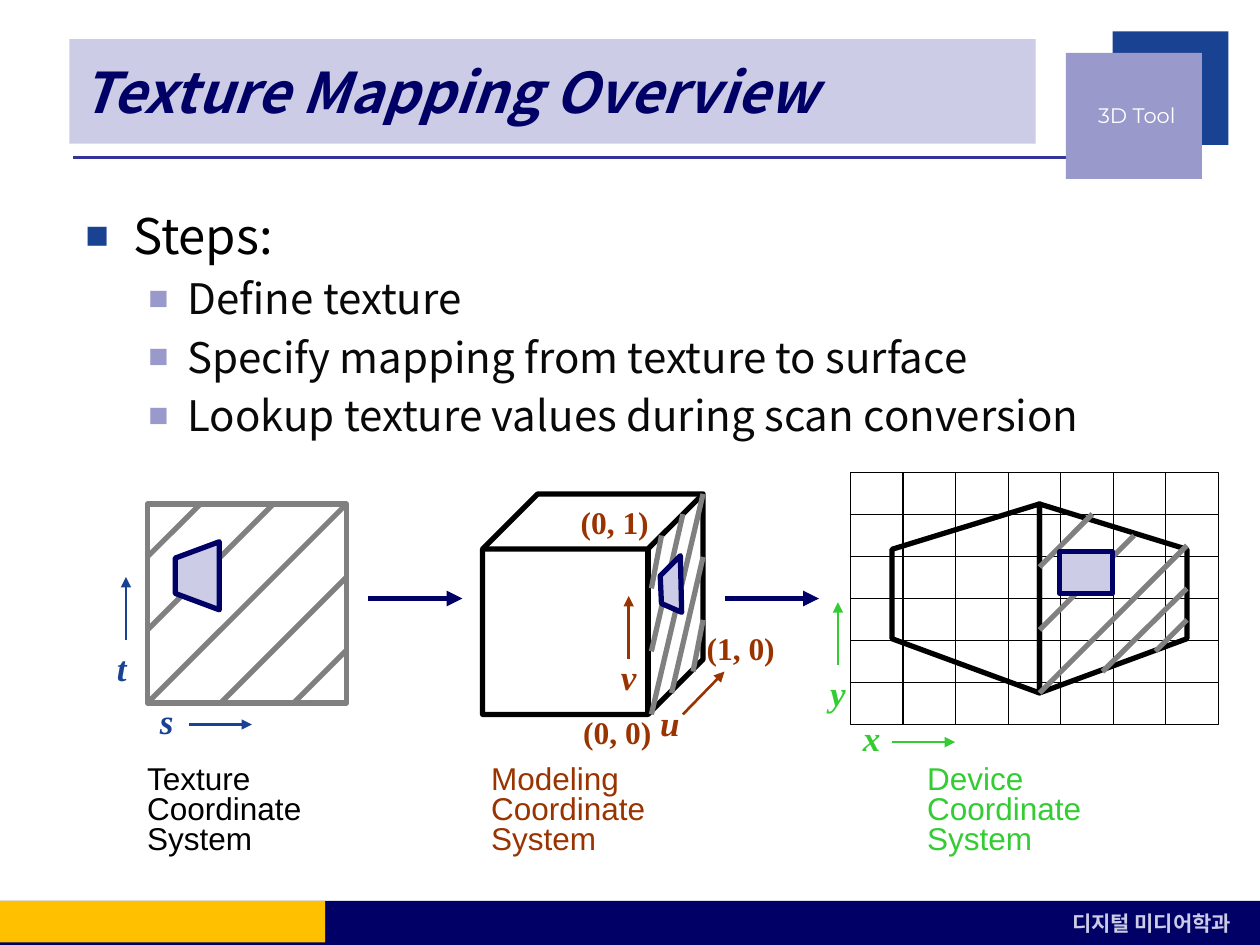
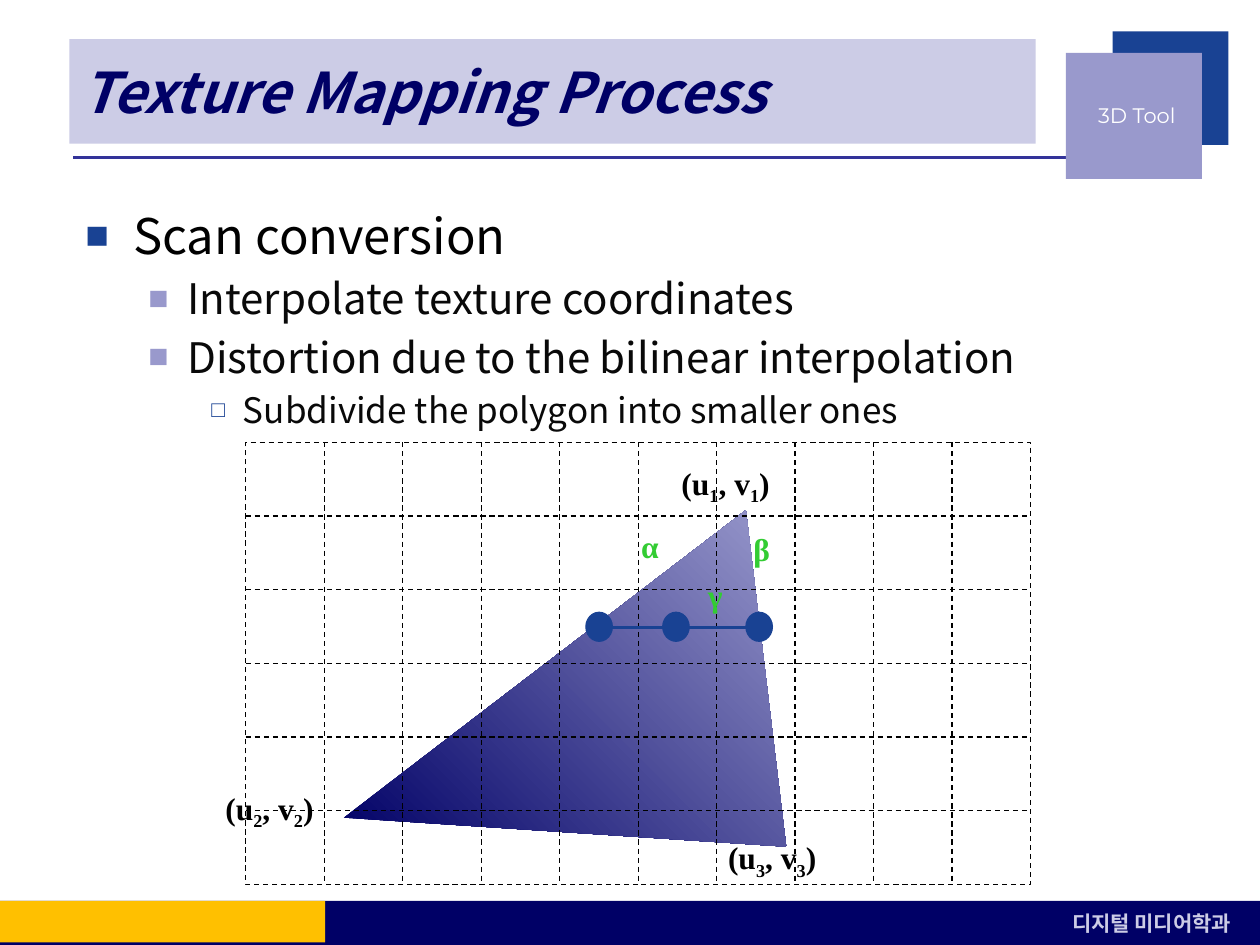
from lxml.etree import SubElement
from pptx import Presentation
from pptx.dml.color import RGBColor
from pptx.enum.dml import MSO_LINE
from pptx.enum.shapes import MSO_CONNECTOR, MSO_SHAPE as SHAPE
from pptx.enum.text import MSO_ANCHOR as ANCHOR, PP_ALIGN as ALIGN
from pptx.oxml.ns import qn
from pptx.util import Inches, Pt

COLORS = {
    "navy": "000066", "blue": "194293", "rule": "333399", "lilac": "9999CC",
    "pale": "CCCCE6", "gold": "FFC000", "white": "FFFFFF", "black": "000000",
    "ink": "090909", "gray": "808080", "brown": "993300", "green": "33CC33",
}
SANS, SERIF, LABEL, BADGE = "Noto Sans CJK KR", "Times New Roman", "Arial", "Montserrat"
BULLETS = [
    {"indent": (0.38, -0.38), "char": "■", "color": "blue", "percent": 80, "size": 28, "ink": "black"},
    {"indent": (0.81, -0.31), "char": "■", "color": "lilac", "percent": 80, "size": 24, "ink": "ink"},
    {"indent": (1.25, -0.25), "char": "□", "color": "blue", "percent": 65, "size": 20, "ink": "ink"},
]


def rgb(name):
    """Look up a palette colour."""
    return RGBColor.from_string(COLORS[name])


def paint(part, fill=None, line=None, width=3.0):
    """Set fill and outline of a shape, leaving out what is not given."""
    part.shadow.inherit = False
    if fill:
        part.fill.solid()
        part.fill.fore_color.rgb = rgb(fill)
    else:
        part.fill.background()
    if line:
        part.line.color.rgb = rgb(line)
        part.line.width = Pt(width)
    else:
        part.line.fill.background()
    return part


def add_block(slide, kind, box, fill=None, line=None, width=3.0):
    """Add a painted preset shape in a box given in inches."""
    block = slide.shapes.add_shape(kind, *map(Inches, box))
    return paint(block, fill, line, width)


def add_outline(slide, left, top, points, fill=None, line=None):
    """Add a closed polygon whose points are relative to a corner."""
    corners = [(Inches(left + x), Inches(top + y)) for x, y in points]
    builder = slide.shapes.build_freeform(*corners[0])
    builder.add_line_segments(corners[1:], close=True)
    return paint(builder.convert_to_shape(), fill, line)


def add_line(slide, start, end, color, width, dash=False, arrow=False):
    """Add a straight line, dashed or with an arrowhead if asked."""
    ends = map(Inches, (*start, *end))
    line = slide.shapes.add_connector(MSO_CONNECTOR.STRAIGHT, *ends)
    line.line.color.rgb = rgb(color)
    line.line.width = Pt(width)
    if dash:
        line.line.dash_style = MSO_LINE.DASH
    if arrow:
        SubElement(line.line._get_or_add_ln(), qn("a:tailEnd"), type="triangle")
    SubElement(line._element.spPr, qn("a:effectLst"))


def add_stripes(slide, left, top, stripes):
    """Add gray texture stripes relative to a corner."""
    for x1, y1, x2, y2 in stripes:
        add_line(slide, (left + x1, top + y1), (left + x2, top + y2), "gray", 3)


def style(font, face, size, color, bold=False, italic=False):
    """Format a font."""
    font.name, font.size, font.bold, font.italic = face, Pt(size), bold, italic
    font.color.rgb = rgb(color)


def add_text(slide, box, text, face, size, color, bold=False, italic=False, spacing=None):
    """Add a text box with evenly formatted paragraphs."""
    frame = slide.shapes.add_textbox(*map(Inches, box)).text_frame
    frame.word_wrap = True
    frame.margin_right = 0
    frame.text = text
    for paragraph in frame.paragraphs:
        paragraph.line_spacing = spacing
        style(paragraph.font, face, size, color, bold, italic)
    return frame


def add_axis(slide, letter, corner, start, end, color):
    """Add a coordinate axis arrow with its letter."""
    add_text(slide, (*corner, 0.36, 0.43), letter, SERIF, 20, color, True, True)
    add_line(slide, start, end, color, 1.5, arrow=True)


def add_grid(slide, box, columns, rows, frame_width, dash=False):
    """Add a framed grid of equal cells."""
    left, top, width, height = box
    frame = add_block(slide, SHAPE.RECTANGLE, box, line="black", width=frame_width)
    if dash:
        frame.line.dash_style = MSO_LINE.DASH
    for column in range(1, columns):
        x = left + width * column / columns
        add_line(slide, (x, top), (x, top + height), "black", 0.75, dash)
    for row in range(1, rows):
        y = top + height * row / rows
        add_line(slide, (left, y), (left + width, y), "black", 0.75, dash)


def add_system_name(slide, left, top, name, color):
    """Add the caption of a coordinate system."""
    caption = f"{name}\nCoordinate\nSystem"
    add_text(slide, (left, top, 1.79, 1.06), caption, LABEL, 18, color, spacing=0.8)


def add_title(slide, box, text):
    """Place and format the title placeholder."""
    title = slide.shapes.title
    title.left, title.top, title.width, title.height = map(Inches, box)
    title.fill.solid()
    title.fill.fore_color.rgb = rgb("pale")
    frame = title.text_frame
    frame.text = text
    frame.vertical_anchor = ANCHOR.MIDDLE
    frame.paragraphs[0].alignment = ALIGN.LEFT
    style(frame.paragraphs[0].runs[0].font, SANS, 32, "navy", True, True)


def add_badge(slide, left, top):
    """Add the two overlapping squares with the course name."""
    add_block(slide, SHAPE.RECTANGLE, (left + 0.37, top, 0.92, 0.9), "blue")
    add_block(slide, SHAPE.RECTANGLE, (left, top + 0.17, 1.08, 1), "lilac")
    name = add_text(slide, (left - 0.15, top + 0.33, 1.02, 0.67), "3D Tool", BADGE, 12, "white")
    name.vertical_anchor = ANCHOR.MIDDLE
    name.paragraphs[0].alignment = ALIGN.RIGHT


def add_footer(slide, top):
    """Add the footer band with the department name."""
    add_block(slide, SHAPE.RECTANGLE, (0, top, 10, 0.35), "navy")
    add_block(slide, SHAPE.RECTANGLE, (0, top, 2.58, 0.33), "gold")
    department = add_text(slide, (8.41, top + 0.03, 1.58, 0.3), "디지털 미디어학과",
                          SANS, 12, "pale", True, spacing=Pt(14.4))
    run = department.paragraphs[0].runs[0]
    SubElement(run._r.get_or_add_rPr(), qn("a:ea"), typeface=SANS)


def add_outline_text(slide, box, items):
    """Add the bulleted text from (level, text) pairs."""
    frame = slide.shapes.add_textbox(*map(Inches, box)).text_frame
    frame.word_wrap = True
    frame.text = "\n".join(text for _, text in items)
    for index, (paragraph, (level, _)) in enumerate(zip(frame.paragraphs, items)):
        look = BULLETS[level]
        paragraph.level = level
        props = paragraph._p.get_or_add_pPr()
        for key, inches in zip(("marL", "indent"), look["indent"]):
            props.set(key, str(Inches(inches)))
        tint = SubElement(props, qn("a:buClr"))
        SubElement(tint, qn("a:srgbClr"), val=COLORS[look["color"]])
        SubElement(props, qn("a:buSzPct"), val=str(look["percent"] * 1000))
        SubElement(props, qn("a:buFont"), typeface=LABEL)
        SubElement(props, qn("a:buChar"), char=look["char"])
        paragraph.line_spacing = Pt(look["size"] * 1.2)
        paragraph.space_before = Pt(look["size"] * 0.2 if index else 0)
        style(paragraph.font, SANS, look["size"], look["ink"])


def add_page(deck, title, items):
    """Add a slide with the shared frame, title and bullets."""
    slide = deck.slides.add_slide(deck.slide_layouts[5])
    add_line(slide, (0.58, 1.25), (8.5, 1.25), "rule", 2.25)
    add_badge(slide, 8.46, 0.25)
    add_footer(slide, 7.15)
    add_title(slide, (0.55, 0.31, 7.67, 0.83), title)
    add_outline_text(slide, (0.58, 1.58, 8.92, 5.17), items)
    return slide


def draw_texture(slide, left, top):
    """Draw the flat texture with its s and t axes."""
    side, step = 1.58, 0.58
    add_block(slide, SHAPE.RECTANGLE, (left, top, side, side), line="gray")
    reaches = [side + step * k for k in range(-2, 3)]
    cuts = [(reach, max(0, reach - side)) for reach in reaches]
    add_stripes(slide, left, top, [(r - cut, cut, cut, r - cut) for r, cut in cuts])
    add_axis(slide, "t", (left - 0.34, top + 1.08), (left - 0.17, top + 1.08),
             (left - 0.17, top + 0.58), "blue")
    add_axis(slide, "s", (left, top + 1.5), (left + 0.33, top + 1.75),
             (left + 0.83, top + 1.75), "blue")
    patch = [(0.57, 0.3), (0.22, 0.43), (0.22, 0.71), (0.57, 0.84)]
    add_outline(slide, left, top, patch, "pale", "navy")
    add_system_name(slide, left - 0.1, top + 2.03, "Texture", "black")


def draw_model(slide, left, top):
    """Draw the textured cube with its u and v axes."""
    add_block(slide, SHAPE.CUBE, (left, top, 1.75, 1.75), line="black")
    add_stripes(slide, left, top, [
        (1.75, 0, 1.34, 1.75), (1.75, 0.5, 1.5, 1.58), (1.75, 1, 1.67, 1.41),
        (1.42, 0.33, 1.34, 0.75), (1.59, 0.16, 1.34, 1.25)])
    add_axis(slide, "v", (left + 1, top + 1.23), (left + 1.16, top + 1.31),
             (left + 1.16, top + 0.81), "brown")
    add_axis(slide, "u", (left + 1.31, top + 1.6), (left + 1.59, top + 1.75),
             (left + 1.92, top + 1.41), "brown")
    for corner, x, y in (("(0, 1)", 0.68, 0.02), ("(0, 0)", 0.7, 1.69), ("(1, 0)", 1.68, 1.02)):
        add_text(slide, (left + x, top + y, 0.74, 0.4), corner, SERIF, 18, "brown", True)
    patch = [(1.57, 0.49), (1.41, 0.65), (1.42, 0.87), (1.58, 0.94)]
    add_outline(slide, left, top, patch, "pale", "navy")
    add_system_name(slide, left - 0.03, top + 2.11, "Modeling", "brown")


def draw_device(slide, left, top):
    """Draw the projected cube on the pixel grid with x and y axes."""
    add_grid(slide, (left, top, 2.92, 2), 7, 6, 1)
    edge = left + 1.5
    for side in (1, -1):
        face = [(0, 1.75), (0, 0.25), (side * 1.17, 0.61), (side * 1.17, 1.32)]
        add_outline(slide, edge, top, face, line="black")
    add_stripes(slide, edge, top, [
        (1.17, 0.58, 0, 1.75), (0.75, 0.5, 0, 1.25), (0.42, 0.33, 0, 0.75),
        (1.17, 1.17, 0.92, 1.42), (1.17, 0.92, 0.5, 1.58)])
    add_axis(slide, "y", (left - 0.26, top + 1.53), (left - 0.1, top + 1.53),
             (left - 0.1, top + 1.03), "green")
    add_axis(slide, "x", (left, top + 1.89), (left + 0.33, top + 2.14),
             (left + 0.83, top + 2.14), "green")
    add_block(slide, SHAPE.RECTANGLE, (left + 1.66, top + 0.63, 0.42, 0.33), "pale", "navy")
    add_system_name(slide, left + 0.51, top + 2.28, "Device", "green")


def add_texel_label(slide, left, top, number):
    """Add a (u, v) pair with subscript numbers."""
    frame = add_text(slide, (left, top, 1.16, 0.5), "(u", SERIF, 18, "black", True)
    for text in (number, ", v", number, ")"):
        run = frame.paragraphs[0].add_run()
        run.text = text
        if text == number:
            run._r.get_or_add_rPr().set("baseline", "-25000")


def draw_scan_conversion(slide, left, top):
    """Draw the shaded triangle, the pixel grid and one scan line."""
    triangle = add_outline(slide, left, top, [(3.97, 0.54), (0.78, 2.98), (4.29, 3.21)])
    triangle.fill.gradient()
    triangle.fill.gradient_angle = 45
    for stop, color in zip(triangle.fill.gradient_stops, ("navy", "lilac")):
        stop.color.rgb = rgb(color)
    add_grid(slide, (left, top, 6.23, 3.51), 10, 6, 0.75, dash=True)
    for x in (2.7, 3.31, 3.97):
        add_block(slide, SHAPE.OVAL, (left + x, top + 1.35, 0.21, 0.23), "blue", "blue", 0.75)
    add_line(slide, (left + 2.8, top + 1.47), (left + 4.09, top + 1.47), "blue", 2.25)
    for ratio, x, y in (("α", 3.04, 0.62), ("β", 3.93, 0.65), ("γ", 3.57, 1.01)):
        add_text(slide, (left + x, top + y, 0.39, 0.5), ratio, SERIF, 18, "green", True)
    for number, x, y in (("1", 3.36, 0.12), ("3", 3.73, 3.09), ("2", -0.26, 2.7)):
        add_texel_label(slide, left + x, top + y, number)


def main():
    """Build both slides and save the deck."""
    deck = Presentation()
    deck.slide_width, deck.slide_height = Inches(10), Inches(7.5)

    overview = add_page(deck, "Texture Mapping Overview", [
        (0, "Steps:"), (1, "Define texture"),
        (1, "Specify mapping from texture to surface"),
        (1, "Lookup texture values during scan conversion")])
    draw_texture(overview, 1.17, 4)
    draw_model(overview, 3.83, 3.92)
    draw_device(overview, 6.75, 3.75)
    for x in (2.92, 5.75):
        add_line(overview, (x, 4.75), (x + 0.75, 4.75), "navy", 3, arrow=True)

    process = add_page(deck, "Texture Mapping Process", [
        (0, "Scan conversion"), (1, "Interpolate texture coordinates"),
        (1, "Distortion due to the bilinear interpolation"),
        (2, "Subdivide the polygon into smaller ones")])
    draw_scan_conversion(process, 1.95, 3.51)

    deck.save("out.pptx")


if __name__ == "__main__":
    main()
